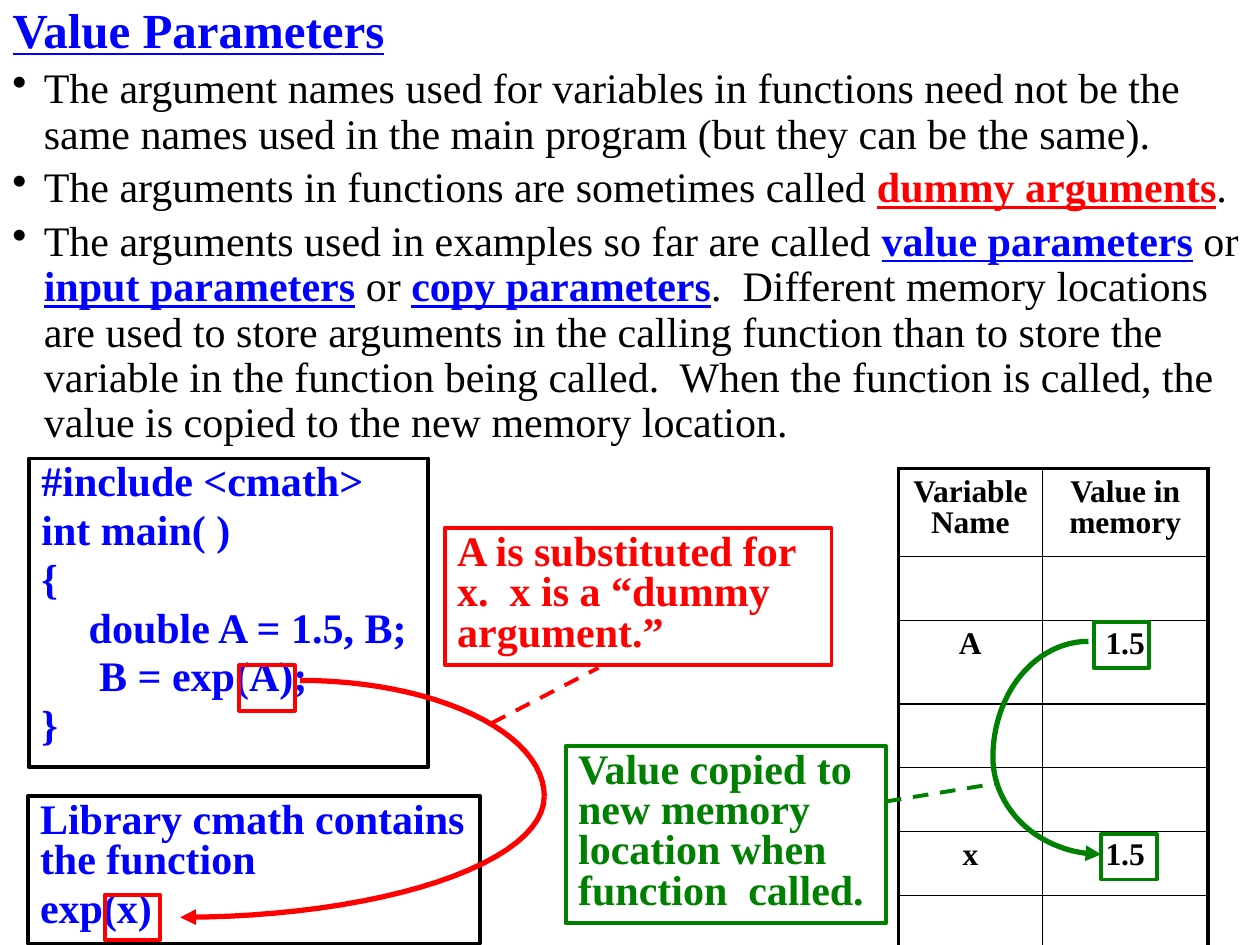
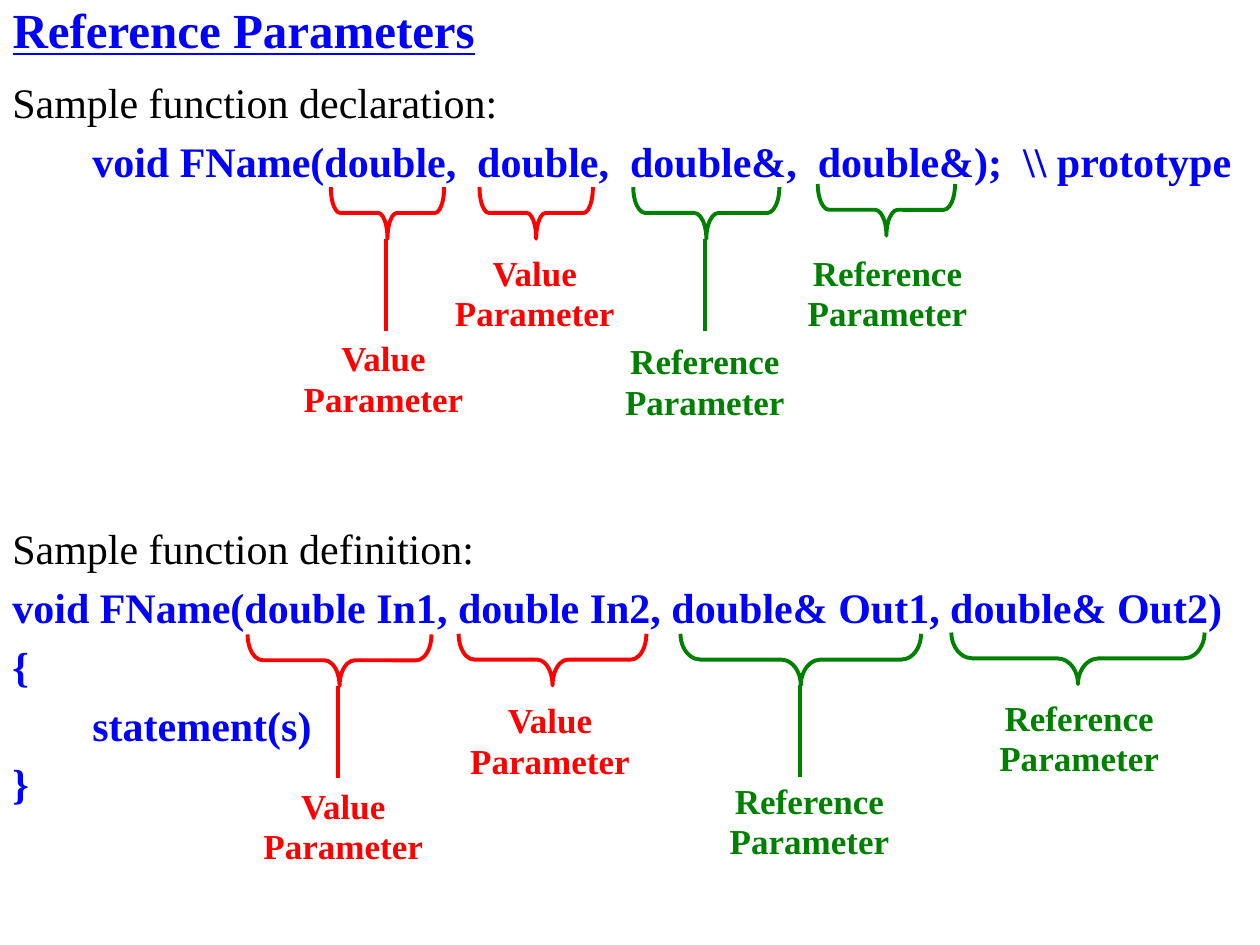
from math import cos, pi, sin

from lxml import etree
from pptx import Presentation
from pptx.dml.color import RGBColor
from pptx.enum.dml import MSO_LINE
from pptx.enum.shapes import MSO_CONNECTOR, MSO_SHAPE
from pptx.enum.text import MSO_ANCHOR, MSO_AUTO_SIZE, PP_ALIGN
from pptx.oxml.ns import qn
from pptx.util import Pt

BLACK = RGBColor(0x00, 0x00, 0x00)
BLUE = RGBColor(0x00, 0x00, 0xFF)
RED = RGBColor(0xFF, 0x00, 0x00)
GREEN = RGBColor(0x00, 0x80, 0x00)

FONT = "Times New Roman"
LEFT, CENTER = PP_ALIGN.LEFT, PP_ALIGN.CENTER
TOP = MSO_ANCHOR.TOP
DASH = MSO_LINE.DASH
STRAIGHT = MSO_CONNECTOR.STRAIGHT
RECTANGLE, BRACE = MSO_SHAPE.RECTANGLE, MSO_SHAPE.RIGHT_BRACE
TITLE_ONLY = 5

LINE_WIDTH, CURVE_WIDTH, INNER_WIDTH = 2.25, 3, 1
CURVE_STEPS = 24
BRACE_DEPTH, STEM_LENGTH = 29.5, 52.5
LABEL_WIDTH, LABEL_HEIGHT = 105.8, 50.4

PLAIN = {"size": 24, "color": BLACK, "bold": False, "underline": False}
CODE = {**PLAIN, "color": BLUE, "bold": True}
TITLE = {**CODE, "size": 28, "underline": True}
TERM = {**CODE, "underline": True}
DUMMY = {**TERM, "color": RED}
CELL = {**PLAIN, "size": 18, "bold": True}

BULLETS = [
    [("The argument names used for variables in functions need not be the same names "
      "used in the main program (but they can be the same).", PLAIN)],
    [("The arguments in functions are sometimes called ", PLAIN),
     ("dummy arguments", DUMMY), (".", PLAIN)],
    [("The arguments used in examples so far are called ", PLAIN),
     ("value parameters", TERM), (" or ", PLAIN), ("input parameters", TERM),
     (" or ", PLAIN), ("copy parameters", TERM),
     (".  Different memory locations are used to store arguments in the calling function "
      "than to store the variable in the function being called.  When the function is "
      "called, the value is copied to the new memory location.", PLAIN)],
]
MEMORY_ROWS = [
    (50.3, "Variable Name", "Value in memory"),
    (36.5, "", ""),
    (47.6, "A", "1.5"),
    (36.5, "", ""),
    (36.5, "", ""),
    (36.5, "x", "1.5"),
    (36.5, "", ""),
]
MEMORY_COLUMNS = (82.2, 94.8)

VALUE = ("Value", RED)
REFERENCE = ("Reference", GREEN)
PARAMETERS = [
    (VALUE, 221.4, 121.7, 64.8, 219.2, 193.7, True),
    (VALUE, 306.4, 121.7, 64.8, 305.6, 144.7, False),
    (REFERENCE, 403.6, 121.7, 83.5, 402.8, 195.1, True),
    (REFERENCE, 506.5, 119.9, 78.5, 507.2, 144.7, False),
    (VALUE, 194, 377.3, 105.1, 196.2, 449.3, True),
    (VALUE, 315.7, 376.9, 107.3, 314.3, 400.3, False),
    (REFERENCE, 457.6, 376.9, 137.5, 462.6, 446.4, True),
    (REFERENCE, 616, 376.2, 144.7, 616.7, 398.9, False),
]


def points(*values):
    """Convert numbers to lengths in points."""
    return [Pt(value) for value in values]


def format_paragraph(paragraph, runs, spacing, align=LEFT, before=0):
    """Add formatted runs to a paragraph and set its spacing."""
    settings = {"alignment": align, "line_spacing": spacing, "space_before": Pt(before)}
    for name, value in settings.items():
        setattr(paragraph, name, value)
    for text, style in runs:
        run = paragraph.add_run()
        run.text = text
        settings = {"name": FONT, "size": Pt(style["size"]),
                    "bold": style["bold"], "underline": style["underline"]}
        for name, value in settings.items():
            setattr(run.font, name, value)
        run.font.color.rgb = style["color"]


def fill_frame(frame, paragraphs, spacing, align=LEFT, wrap=True):
    """Write paragraphs, each a list of runs, into a text frame."""
    settings = {"word_wrap": wrap, "auto_size": MSO_AUTO_SIZE.NONE, "vertical_anchor": TOP}
    for name, value in settings.items():
        setattr(frame, name, value)
    for index, runs in enumerate(paragraphs):
        paragraph = frame.add_paragraph() if index else frame.paragraphs[0]
        before = 0.2 * runs[0][1]["size"] if index else 0
        format_paragraph(paragraph, runs, spacing, align, before)
    return frame


def indent(paragraph, margin, first=0):
    """Set the left margin and first-line indent of a paragraph."""
    properties = paragraph._p.get_or_add_pPr()
    properties.set("marL", str(Pt(margin)))
    properties.set("indent", str(Pt(first)))
    return properties


def add_titled_slide(presentation, title):
    """Add a slide with the shared underlined title."""
    slide = presentation.slides.add_slide(presentation.slide_layouts[TITLE_ONLY])
    shape = slide.shapes.title
    shape.left, shape.top, shape.width, shape.height = points(0, 0, 720, 37.5)
    fill_frame(shape.text_frame, [[(title, TITLE)]], 0.9)
    return slide


def add_text(slide, box, paragraphs, spacing=1.0, align=LEFT, wrap=True):
    """Add a text box and return its frame."""
    shape = slide.shapes.add_textbox(*points(*box))
    return fill_frame(shape.text_frame, paragraphs, spacing, align, wrap)


def outline(shape, color, width=LINE_WIDTH):
    """Give a shape a coloured outline without fill or shadow."""
    shape.shadow.inherit = False
    shape.fill.background()
    shape.line.color.rgb = color
    shape.line.width = Pt(width)


def add_frame(slide, box, color, lines=(), text_color=None):
    """Add an outlined rectangle with optional bold lines of text."""
    shape = slide.shapes.add_shape(RECTANGLE, *points(*box))
    outline(shape, color)
    style = {**CODE, "color": text_color or color}
    return fill_frame(shape.text_frame, [[(line, style)] for line in lines], 0.8)


def add_line(slide, start, end, color, dash=None):
    """Add a straight line, dashed on request."""
    line = slide.shapes.add_connector(STRAIGHT, *points(*start, *end))
    line.line.color.rgb = color
    line.line.width = Pt(LINE_WIDTH)
    if dash:
        line.line.dash_style = dash
    etree.SubElement(line._element.spPr, qn("a:effectLst"))


def add_quarter_curve(slide, start, end, color, arrow=False):
    """Add a quarter ellipse leaving start horizontally, with an optional arrow there."""
    (left, top), (right, bottom) = start, end
    angles = [step * pi / 2 / CURVE_STEPS for step in range(CURVE_STEPS + 1)]
    curve = [points(left + (right - left) * sin(angle), bottom + (top - bottom) * cos(angle))
             for angle in angles]
    builder = slide.shapes.build_freeform(*curve[0])
    builder.add_line_segments(curve[1:], close=False)
    shape = builder.convert_to_shape()
    outline(shape, color, CURVE_WIDTH)
    if arrow:
        line = shape.line._get_or_add_ln()
        etree.SubElement(line, qn("a:headEnd"), type="triangle")


def add_curved_arrow(slide, start, middle, end, color):
    """Join two quarter curves into an arrow that points at end."""
    add_quarter_curve(slide, start, middle, color)
    add_quarter_curve(slide, end, middle, color, arrow=True)


def set_borders(cell, widths):
    """Draw the four black borders of a cell."""
    properties = cell._tc.get_or_add_tcPr()
    for position, (side, width) in enumerate(widths.items()):
        line = etree.Element(qn(f"a:{side}"), w=str(Pt(width)))
        fill = etree.SubElement(line, qn("a:solidFill"))
        etree.SubElement(fill, qn("a:srgbClr"), val=str(BLACK))
        properties.insert(position, line)


def add_memory_table(slide, left, top):
    """Add the table of variables and their values in memory."""
    row_count, column_count = len(MEMORY_ROWS), len(MEMORY_COLUMNS)
    height = sum(row[0] for row in MEMORY_ROWS)
    box = points(left, top, sum(MEMORY_COLUMNS), height)
    table = slide.shapes.add_table(row_count, column_count, *box).table
    table.first_row = table.horz_banding = False
    for column, width in zip(table.columns, MEMORY_COLUMNS):
        column.width = Pt(width)
    for row, (row_height, *texts) in enumerate(MEMORY_ROWS):
        table.rows[row].height = Pt(row_height)
        for column, text in enumerate(texts):
            cell = table.cell(row, column)
            cell.fill.background()
            cell.margin_top = Pt(5)
            edges = {"lnL": column == 0, "lnR": column == column_count - 1,
                     "lnT": row == 0, "lnB": row == row_count - 1}
            set_borders(cell, {side: LINE_WIDTH if outer else INNER_WIDTH
                               for side, outer in edges.items()})
            if text:
                format_paragraph(cell.text_frame.paragraphs[0], [(text, CELL)], 0.9, CENTER)


def add_parameter(slide, kind, center, middle, span, label_center, label_top, stem):
    """Add a brace under a parameter with its label and optional stem."""
    name, color = kind
    box = points(center - BRACE_DEPTH / 2, middle - span / 2, BRACE_DEPTH, span)
    brace = slide.shapes.add_shape(BRACE, *box)
    brace.rotation = 90
    brace.adjustments[0] = span * 0.0028
    outline(brace, color)
    if stem:
        start = middle + BRACE_DEPTH / 2
        add_line(slide, (center - 0.7, start), (center - 0.7, start + STEM_LENGTH), color)
    style = {**CODE, "size": 20, "color": color}
    label_box = (label_center - LABEL_WIDTH / 2, label_top, LABEL_WIDTH, LABEL_HEIGHT)
    add_text(slide, label_box, [[(name, style)], [("Parameter", style)]], 0.8, CENTER, False)


def build_value_slide(presentation):
    """Build the slide about value parameters."""
    slide = add_titled_slide(presentation, "Value Parameters")
    body = add_text(slide, (0, 35, 720, 227), BULLETS, 0.9)
    for paragraph in body.paragraphs:
        properties = indent(paragraph, 18, -18)
        etree.SubElement(properties, qn("a:buChar"), char="•")

    program = add_frame(slide, (16.6, 262, 228.2, 176.4), BLACK, [
        "#include <cmath>", "int main( )", "{", "double A = 1.5, B;", "B = exp(A);", "}"], BLUE)
    indent(program.paragraphs[3], 27)
    indent(program.paragraphs[4], 33)
    add_frame(slide, (15.8, 455, 258.5, 84.2), BLACK,
              ["Library cmath contains the function", "exp(x)"], BLUE)
    add_curved_arrow(slide, (171.4, 388.8), (311, 455), (103, 524.2), RED)
    add_frame(slide, (254.2, 301.7, 221, 78.5), RED,
              ["A is substituted for x.  x is a “dummy argument.”"])
    add_memory_table(slide, 513.4, 267.8)

    for left, top, color in ((136.8, 380.2, RED), (59.8, 511.2, RED),
                             (625, 355.7, GREEN), (629.3, 476.6, GREEN)):
        add_frame(slide, (left, top, 31.7, 26), color)
    add_curved_arrow(slide, (622, 366.5), (567.4, 432.7), (629.3, 488.2), GREEN)
    add_frame(slide, (323.3, 426.2, 182.9, 101.5), GREEN,
              ["Value copied to new memory location when function  called."])
    add_line(slide, (506.2, 458), (568.8, 447.8), GREEN, DASH)
    add_line(slide, (280.8, 413.3), (342, 381.6), RED, DASH)


def build_reference_slide(presentation):
    """Build the slide about reference parameters."""
    slide = add_titled_slide(presentation, "Reference Parameters")
    declaration = add_text(slide, (0, 40.3, 720, 70.6), [
        [("Sample function declaration:", PLAIN)],
        [("void FName(double,  double,  double&,  double&);  \\\\ prototype", CODE)]])
    indent(declaration.paragraphs[1], 45.7)
    lines = ["void FName(double In1, double In2, double& Out1, double& Out2)",
             "{", "statement(s)", "}"]
    definition = add_text(slide, (0, 295.2, 720, 174.2),
                          [[("Sample function definition:", PLAIN)],
                           *[[(line, CODE)] for line in lines]])
    indent(definition.paragraphs[3], 45.7)
    for parameter in PARAMETERS:
        add_parameter(slide, *parameter)


def main():
    """Create the two slides and save the presentation."""
    presentation = Presentation()
    presentation.slide_width, presentation.slide_height = points(720, 540)
    build_value_slide(presentation)
    build_reference_slide(presentation)
    presentation.save("out.pptx")


if __name__ == "__main__":
    main()
